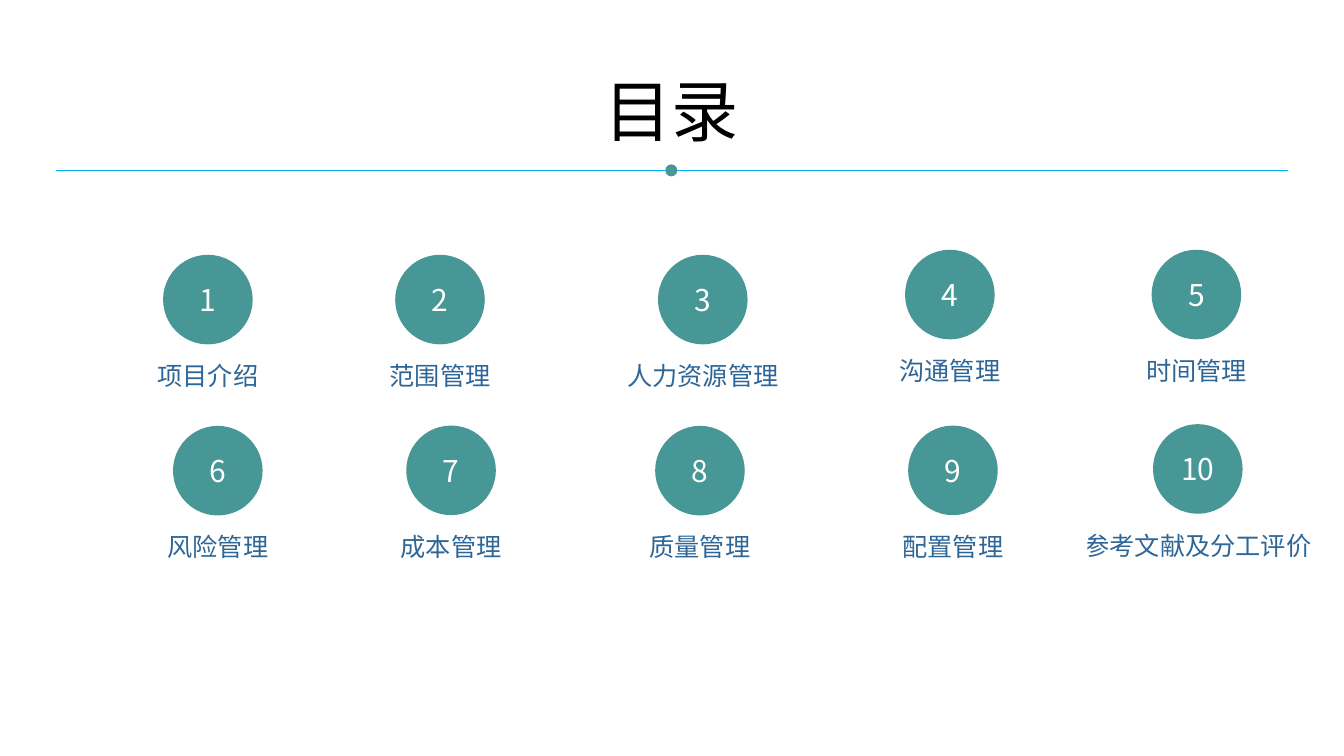
from lxml import etree
from pptx import Presentation
from pptx.dml.color import RGBColor
from pptx.enum import shapes, text
from pptx.oxml import ns
from pptx.util import Pt

COLORS = {"title": "000000", "rule": "00B0F0", "teal": "479796",
          "label": "2E6697", "white": "FFFFFF"}
CHINESE, NUMERAL = "Noto Sans CJK SC", "Noto Sans CJK KR"


class Deck:
    """Holds the style and the current slide."""

    def __init__(self, width, height):
        self.prs = Presentation()
        self.prs.slide_width, self.prs.slide_height = Pt(width), Pt(height)
        self.slide = self.prs.slides.add_slide(self.prs.slide_layouts[6])

    def color(self, name):
        return RGBColor.from_string(COLORS[name])

    def group(self):
        return self.slide.shapes.add_group_shape().shapes

    def add_words(self, shape, words, size, font, color):
        frame = shape.text_frame
        frame.word_wrap = True
        line = frame.paragraphs[0]
        line.alignment = text.PP_ALIGN.CENTER
        run = line.add_run()
        run.text = words
        run.font.size = Pt(size)
        run.font.name = font
        run.font.color.rgb = self.color(color)
        etree.SubElement(run.font._element, ns.qn("a:ea"), typeface=font)

    def label(self, parent, box, words, size, color, fill=None):
        label = parent.add_textbox(*map(Pt, box))
        if fill:
            label.fill.solid()
            label.fill.fore_color.rgb = self.color(fill)
        self.add_words(label, words, size, CHINESE, color)
        label.text_frame.auto_size = text.MSO_AUTO_SIZE.SHAPE_TO_FIT_TEXT

    def circle(self, parent, left, top, size):
        disc = parent.add_shape(shapes.MSO_SHAPE.OVAL, *map(Pt, (left, top, size, size)))
        disc.shadow.inherit = False
        disc.fill.solid()
        disc.fill.fore_color.rgb = self.color("teal")
        disc.line.fill.background()
        return disc

    def rule(self, parent, left, right, y):
        rule = parent.add_connector(shapes.MSO_CONNECTOR.STRAIGHT,
                                    Pt(left), Pt(y), Pt(right), Pt(y))
        rule.line.color.rgb = self.color("rule")
        rule.line.width = Pt(0.75)
        etree.SubElement(rule._element.spPr, ns.qn("a:effectLst"))

    def chapter(self, number, name, center, top, fill):
        parent = self.group()
        badge = self.circle(parent, center - 32, top, 64)
        frame = badge.text_frame
        frame.margin_left = frame.margin_right = 0
        frame.vertical_anchor = text.MSO_ANCHOR.MIDDLE
        self.add_words(badge, str(number), 21.4, NUMERAL, "white")
        self.label(parent, (center - 96, top + 72, 192, 28.8), name, 18, "label", fill)


# Number, name, centre, top, label background
CHAPTERS = [
    (1, "项目介绍", 148.5, 182, "white"),
    (2, "范围管理", 314.3, 182, "white"),
    (3, "人力资源管理", 502, 182, None),
    (4, "沟通管理", 678.5, 178.4, "white"),
    (5, "时间管理", 854.6, 178.4, None),
    (6, "风险管理", 155.6, 304.2, "white"),
    (7, "成本管理", 322.2, 304, "white"),
    (8, "质量管理", 500, 304.2, "white"),
    (10, "参考文献及分工评价", 855.6, 303, "white"),
    (9, "配置管理", 680.7, 304, "white"),
]


def main():
    deck = Deck(960, 540)

    # Title
    deck.label(deck.slide.shapes, (96, 46, 768, 65.5), "目录", 48, "title")

    # Rule with its centre dot
    divider = deck.group()
    deck.rule(divider, 40, 920, 121.7)
    deck.circle(divider, 475.2, 117.4, 8.6)

    # Numbered chapters
    for chapter in CHAPTERS:
        deck.chapter(*chapter)

    deck.prs.save("out.pptx")


if __name__ == "__main__":
    main()
